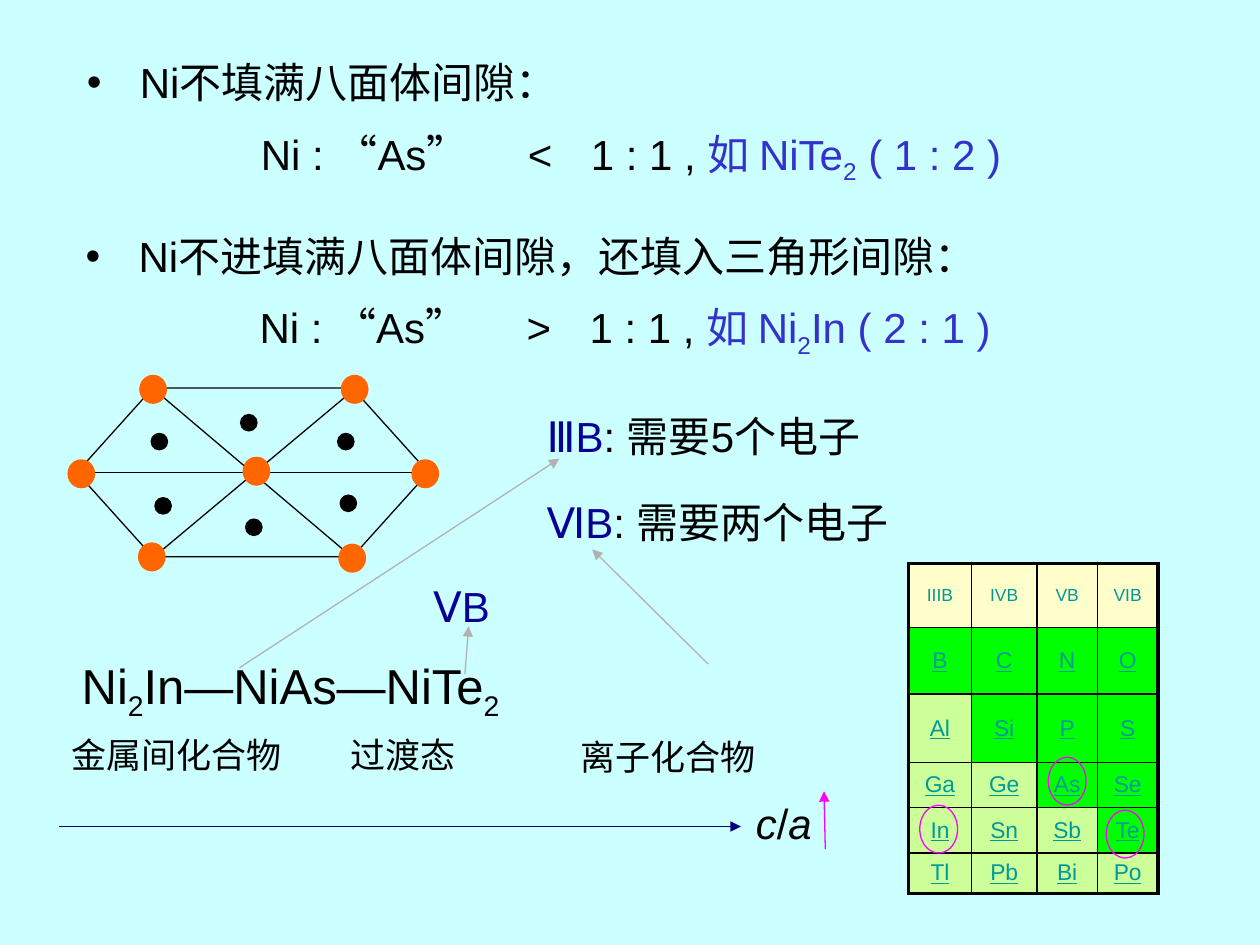
from pptx import Presentation
from pptx.dml.color import RGBColor
from pptx.enum.shapes import MSO_CONNECTOR, MSO_SHAPE
from pptx.enum.text import MSO_ANCHOR, MSO_AUTO_SIZE, PP_ALIGN
from pptx.oxml.ns import qn
from pptx.util import Inches, Pt
from lxml.etree import SubElement

THEME = {
    "font": "Arial", "background": "CCFFFF", "text": "000000", "example": "3333CC",
    "group": "080195", "atom": "FF6600", "axis": "000080", "pointer": "B2B2B2",
    "mark": "FF00FF", "element": "009999", "header": "FFFFCC", "nonmetal": "00FF00",
    "metal": "CCFF99", "formula_size": 28, "body_size": 24, "label_size": 20,
    "element_size": 13, "header_size": 10, "thin": 0.75, "grid": 1, "frame": 2.25,
}

EXAMPLE = {"color": THEME["example"]}
GROUP = {"color": THEME["group"]}
SUB = {"baseline": -25000}
EXAMPLE_SUB = EXAMPLE | SUB
ITALIC = {"italic": True}

POINTS = [
    ((0.59, 0.4, 9.04, 1.11), "Ni不填满八面体间隙：",
     [("Ni : “As”\t<\t1 : 1 , ", {}), ("如 NiTe", EXAMPLE), ("2", EXAMPLE_SUB),
      (" ( 1 : 2 )", EXAMPLE)]),
    ((0.58, 1.78, 8.79, 1.11), "Ni不进填满八面体间隙，还填入三角形间隙：",
     [("Ni : “As”\t>\t1 : 1 , ", {}), ("如 Ni", EXAMPLE), ("2", EXAMPLE_SUB),
      ("In ( 2 : 1 )", EXAMPLE)]),
]
BULLET_INDENT, RATIO_INDENT, RATIO_TABS = 0.42, 1.38, (3.58, 3.96)

LABELS = [
    ((0.55, 5.15, 5.62, 0.57), "formula_size",
     [("Ni", {}), ("2", SUB), ("In—NiAs—NiTe", {}), ("2", SUB)]),
    ((5.9, 6.28, 0.79, 0.5), "body_size", [("c", ITALIC), ("/", {}), ("a", ITALIC)]),
    ((0.47, 5.77, 1.87, 0.44), "label_size", [("金属间化合物", {})]),
    ((2.68, 5.77, 1.67, 0.44), "label_size", [("过渡态", {})]),
    ((4.51, 5.79, 1.67, 0.44), "label_size", [("离子化合物", {})]),
    ((4.24, 3.21, 4.5, 0.5), "body_size", [("ⅢB", GROUP), (": 需要5个电子", {})]),
    ((4.24, 3.89, 4.15, 0.5), "body_size", [("ⅥB", GROUP), (": 需要两个电子", {})]),
    ((3.34, 4.56, 0.76, 0.5), "body_size", [("ⅤB", GROUP)]),
]

ARROWS = [
    ((0.47, 6.56), (5.88, 6.56), "axis"),
    ((6.55, 6.74), (6.54, 6.28), "mark"),
    ((1.9, 5.3), (4.44, 3.64), "pointer"),
    ((5.62, 5.27), (4.7, 4.36), "pointer"),
    ((3.69, 5.35), (3.72, 4.97), "pointer"),
]

HEXAGON = (0.61, 3.08, 2.79, 1.34)
DIAGONALS = [((1.21, 3.08), (2.78, 4.41)), ((1.21, 4.43), (2.8, 3.1)),
             ((0.63, 3.75), (3.4, 3.75))]
SITES = [(1.2, 3.44), (1.23, 3.95), (1.95, 4.12), (2.7, 3.93), (1.91, 3.29), (2.68, 3.44)]
ATOMS = [(2.71, 2.98), (1.11, 2.98), (0.54, 3.65), (1.1, 4.31), (2.69, 4.32),
         (3.27, 3.65), (1.93, 3.63)]
SITE_SIZE, ATOM_SIZE, RING_SIZE = (0.13, 0.13), (0.21, 0.22), (0.3, 0.38)
RINGS = [(7.3, 6.39), (8.32, 6.01), (8.78, 6.43)]

ELEMENTS = [
    ["IIIB", "IVB", "VB", "VIB"],
    ["B", "C", "N", "O"],
    ["Al", "Si", "P", "S"],
    ["Ga", "Ge", "As", "Se"],
    ["In", "Sn", "Sb", "Te"],
    ["Tl", "Pb", "Bi", "Po"],
]
NONMETALS = {"B", "C", "N", "O", "Si", "P", "S", "As", "Se", "Te"}
TABLE_PLACE = (7.21, 4.47, 1.98, 2.62)
COLUMN_WIDTHS = [0.5, 0.52, 0.48, 0.48]
ROW_HEIGHTS = [0.51, 0.53, 0.54, 0.36, 0.36, 0.32]


def rgb(name):
    return RGBColor.from_string(THEME.get(name, name))


def add_span(para, text, size="body_size", color="text", italic=False, underline=False,
             baseline=0):
    span = para.add_run()
    span.text = text
    font = span.font
    font.name, font.size = THEME["font"], Pt(THEME[size])
    font.color.rgb = rgb(color)
    font.italic, font.underline = italic, underline
    if baseline:
        font._element.set("baseline", str(baseline))


def add_spans(para, spans, size="body_size"):
    for text, style in spans:
        add_span(para, text, size=size, **style)


def indent(para, margin, first, bullet=None, tabs=()):
    properties = para._p.get_or_add_pPr()
    properties.set("marL", str(Inches(margin)))
    properties.set("indent", str(Inches(first)))
    if bullet:
        SubElement(properties, qn("a:buChar"), char=bullet)
    else:
        SubElement(properties, qn("a:buNone"))
    if tabs:
        stops = SubElement(properties, qn("a:tabLst"))
        for position in tabs:
            SubElement(stops, qn("a:tab"), pos=str(Inches(position)), algn="l")


def fill_point(box, place, heading, ratio):
    box.left, box.top, box.width, box.height = map(Inches, place)
    frame = box.text_frame
    frame.auto_size, frame.vertical_anchor = MSO_AUTO_SIZE.NONE, MSO_ANCHOR.TOP
    para = frame.paragraphs[0]
    indent(para, BULLET_INDENT, -BULLET_INDENT, bullet="•")
    para.space_before = Pt(0)
    add_span(para, heading)
    para = frame.add_paragraph()
    indent(para, 0, RATIO_INDENT, tabs=RATIO_TABS)
    para.space_before = Pt(12)
    add_spans(para, ratio)


def add_label(page, place, size, spans):
    frame = page.shapes.add_textbox(*map(Inches, place)).text_frame
    frame.word_wrap = True
    frame.auto_size = MSO_AUTO_SIZE.SHAPE_TO_FIT_TEXT
    add_spans(frame.paragraphs[0], spans, size)


def add_line(parent, start, end, color="text", arrow=False):
    line = parent.shapes.add_connector(MSO_CONNECTOR.STRAIGHT, *map(Inches, start + end))
    line.line.color.rgb, line.line.width = rgb(color), Pt(THEME["thin"])
    if arrow:
        SubElement(line.line._get_or_add_ln(), qn("a:tailEnd"), type="triangle")
    SubElement(line._element.spPr, qn("a:effectLst"))


def add_outline(parent, kind, place, line="text", fill=None):
    shape = parent.shapes.add_shape(kind, *map(Inches, place))
    shape.shadow.inherit = False
    shape.line.color.rgb, shape.line.width = rgb(line), Pt(THEME["thin"])
    if fill:
        shape.fill.solid()
        shape.fill.fore_color.rgb = rgb(fill)
    else:
        shape.fill.background()
    return shape


def add_lattice(page):
    lattice = page.shapes.add_group_shape()
    add_outline(lattice, MSO_SHAPE.HEXAGON, HEXAGON).adjustments[0] = 0.45
    for start, end in DIAGONALS:
        add_line(lattice, start, end)
    for corners, size, color in ((SITES, SITE_SIZE, "text"), (ATOMS, ATOM_SIZE, "atom")):
        for corner in corners:
            add_outline(lattice, MSO_SHAPE.OVAL, corner + size, color, color)


def set_borders(cell, row, column):
    outer = {"lnL": column == 0, "lnR": column == len(COLUMN_WIDTHS) - 1,
             "lnT": row == 0, "lnB": row == len(ROW_HEIGHTS) - 1}
    properties = cell._tc.get_or_add_tcPr()
    for position, (side, framed) in enumerate(outer.items()):
        width = Pt(THEME["frame" if framed else "grid"])
        border = SubElement(properties, qn(f"a:{side}"), w=str(width))
        paint = SubElement(border, qn("a:solidFill"))
        SubElement(paint, qn("a:srgbClr"), val=THEME["text"])
        properties.insert(position, border)


def add_elements(page):
    table = page.shapes.add_table(len(ROW_HEIGHTS), len(COLUMN_WIDTHS),
                                  *map(Inches, TABLE_PLACE)).table
    table.first_row = table.horz_banding = False
    for column, width in zip(table.columns, COLUMN_WIDTHS):
        column.width = Inches(width)
    for row, (symbols, height) in enumerate(zip(ELEMENTS, ROW_HEIGHTS)):
        table.rows[row].height = Inches(height)
        for column, symbol in enumerate(symbols):
            cell = table.cell(row, column)
            kind = "header" if row == 0 else "nonmetal" if symbol in NONMETALS else "metal"
            cell.fill.solid()
            cell.fill.fore_color.rgb = rgb(kind)
            cell.vertical_anchor = MSO_ANCHOR.MIDDLE
            para = cell.text_frame.paragraphs[0]
            para.alignment = PP_ALIGN.CENTER
            add_span(para, symbol, size="element_size" if row else "header_size",
                     color="element", underline=row > 0)
            set_borders(cell, row, column)


def main():
    deck = Presentation()
    deck.slide_width, deck.slide_height = Inches(10), Inches(7.5)
    page = deck.slides.add_slide(deck.slide_layouts.get_by_name("Two Content"))
    page.background.fill.solid()
    page.background.fill.fore_color.rgb = rgb("background")
    title, *bodies = page.placeholders
    title._element.getparent().remove(title._element)
    for box, point in zip(bodies, POINTS):
        fill_point(box, *point)
    add_lattice(page)
    for label in LABELS:
        add_label(page, *label)
    for start, end, color in ARROWS:
        add_line(page, start, end, color, arrow=True)
    add_elements(page)
    for corner in RINGS:
        add_outline(page, MSO_SHAPE.OVAL, corner + RING_SIZE, "mark")
    deck.save("out.pptx")


if __name__ == "__main__":
    main()
